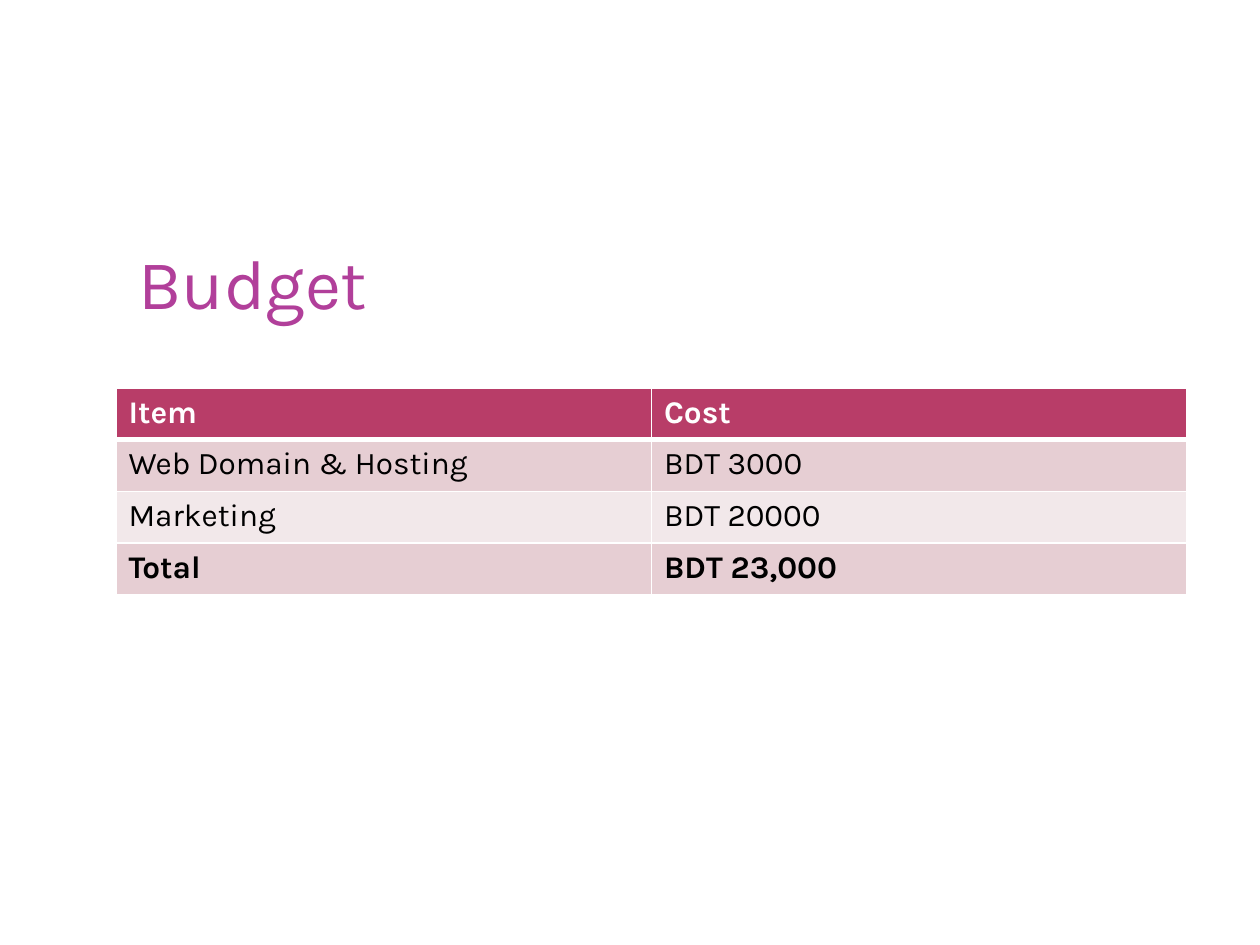
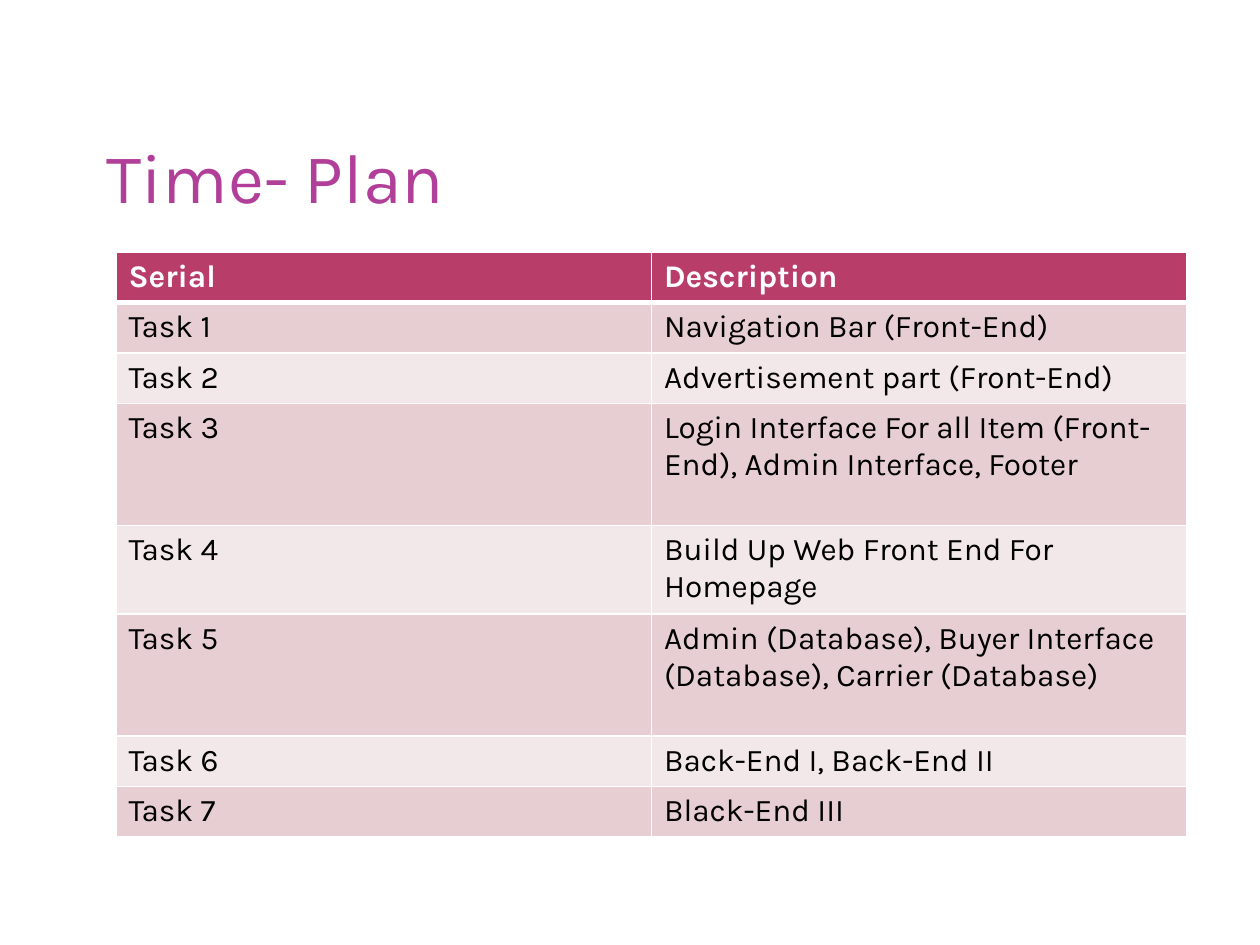
import pptx
import pptx.dml.color
import pptx.enum.text
import pptx.oxml.ns
import pptx.util
import lxml.etree
from dataclasses import dataclass

Inches = pptx.util.Inches
Pt = pptx.util.Pt


@dataclass(frozen=True)
class Theme:
    font: str = "Karla"
    title_size: int = 40
    body_size: int = 18
    title: str = "B13F9A"
    header: str = "B83D68"
    odd_band: str = "E6CED3"
    even_band: str = "F2E8EA"
    white: str = "FFFFFF"
    black: str = "000000"
    thin_line: float = 0.96
    thick_line: float = 3


theme = Theme()


def style_text(frame, size, color, bold=False):
    for para in frame.paragraphs:
        for span in para.runs:
            span.font.name = theme.font
            span.font.size = Pt(size)
            span.font.bold = bold
            span.font.color.rgb = pptx.dml.color.RGBColor.from_string(color)


def add_border(cell, side, width):
    qn = pptx.oxml.ns.qn
    line = lxml.etree.SubElement(cell._tc.get_or_add_tcPr(), qn(f"a:ln{side}"), w=str(Pt(width)))
    fill = lxml.etree.SubElement(line, qn("a:solidFill"))
    lxml.etree.SubElement(fill, qn("a:srgbClr"), val=theme.white)


# Content: title and its place, table top, row heights, rows, whether the last row is a total
pages = [
    ("Budget", 1, 1.42, 3.08, [0.41] * 4, [
        ("Item", "Cost"),
        ("Web Domain & Hosting", "BDT 3000"),
        ("Marketing", "BDT 20000"),
        ("Total", "BDT 23,000"),
    ], True),
    ("Time- Plan", 0.75, 0.58, 2, [0.39, 0.39, 0.39, 0.97, 0.68, 0.97, 0.39, 0.39], [
        ("Serial", "Description"),
        ("Task 1", "Navigation Bar (Front-End)"),
        ("Task 2", "Advertisement part (Front-End)"),
        ("Task 3", "Login Interface For all Item (Front-End), Admin Interface, Footer"),
        ("Task 4", "Build Up Web Front End For Homepage"),
        ("Task 5", "Admin (Database), Buyer Interface (Database), Carrier (Database)"),
        ("Task 6", "Back-End I, Back-End II"),
        ("Task 7", "Black-End III"),
    ], False),
]

deck = pptx.Presentation()
deck.slide_width = Inches(10)
deck.slide_height = Inches(7.5)

for title, title_left, title_top, table_top, heights, rows, has_total in pages:
    page = deck.slides.add_slide(deck.slide_layouts[6])

    # Title
    box = page.shapes.add_textbox(Inches(title_left), Inches(title_top), Inches(8.5), Inches(1.25))
    frame = box.text_frame
    frame.word_wrap = True
    frame.vertical_anchor = pptx.enum.text.MSO_ANCHOR.BOTTOM
    frame.margin_bottom = Inches(0.1)
    frame.text = title
    style_text(frame, theme.title_size, theme.title)

    # Table
    table = page.shapes.add_table(len(rows), 2, Inches(0.92), Inches(table_top),
                                  Inches(8.5), Inches(sum(heights))).table
    for column in table.columns:
        column.width = Inches(4.25)

    for row_index, (height, texts) in enumerate(zip(heights, rows)):
        table.rows[row_index].height = Inches(height)
        is_header = row_index == 0
        is_total = has_total and row_index == len(rows) - 1
        band = theme.header if is_header else theme.odd_band if row_index % 2 else theme.even_band

        for column_index, text in enumerate(texts):
            cell = table.cell(row_index, column_index)
            cell.text = text
            style_text(cell.text_frame, theme.body_size,
                       theme.white if is_header else theme.black, is_header or is_total)

            # The thick rule lies between the header and the first row
            for side in "LRTB":
                is_thick = (row_index, side) in ((0, "B"), (1, "T"))
                add_border(cell, side, theme.thick_line if is_thick else theme.thin_line)
            cell.fill.solid()
            cell.fill.fore_color.rgb = pptx.dml.color.RGBColor.from_string(band)

deck.save("out.pptx")
